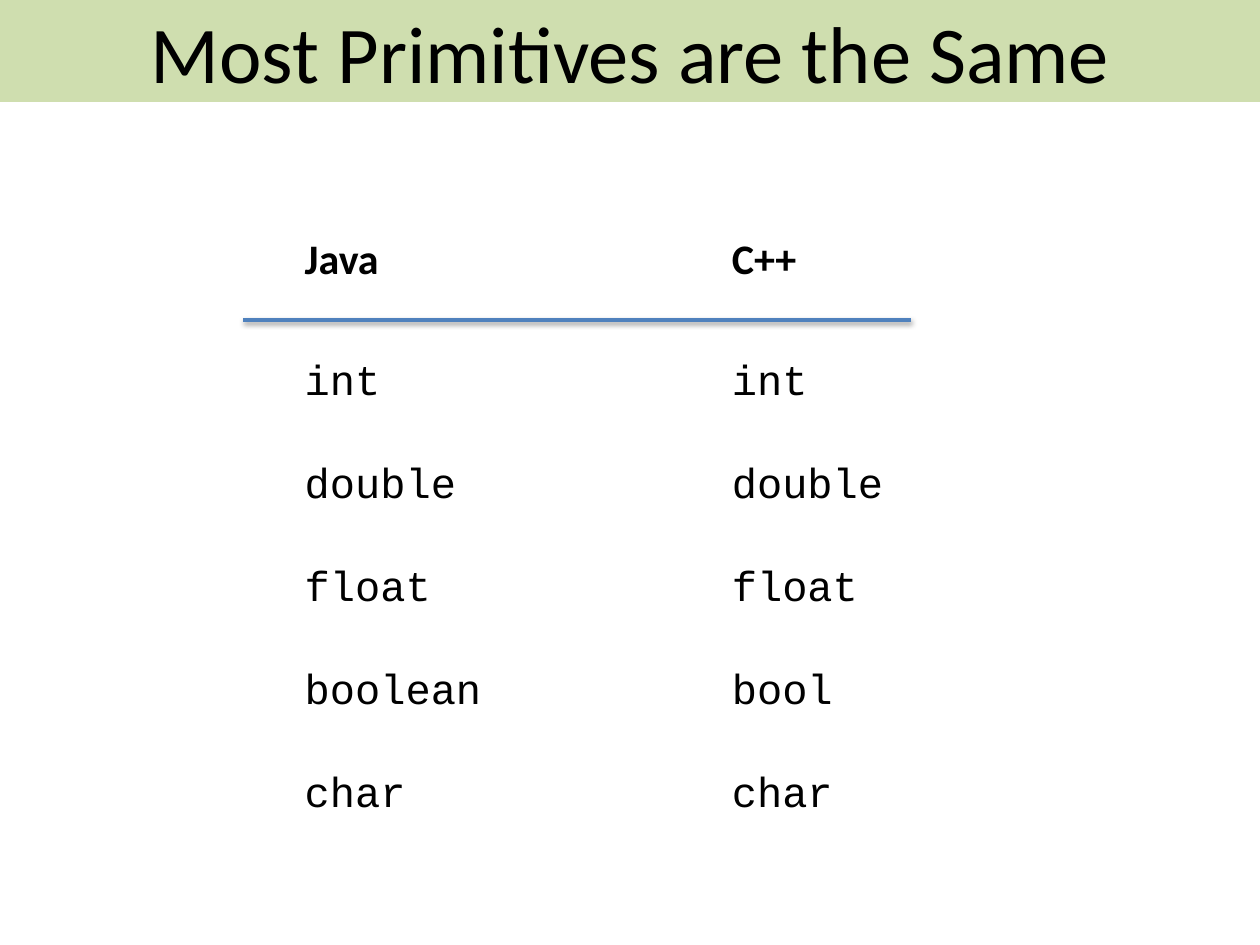
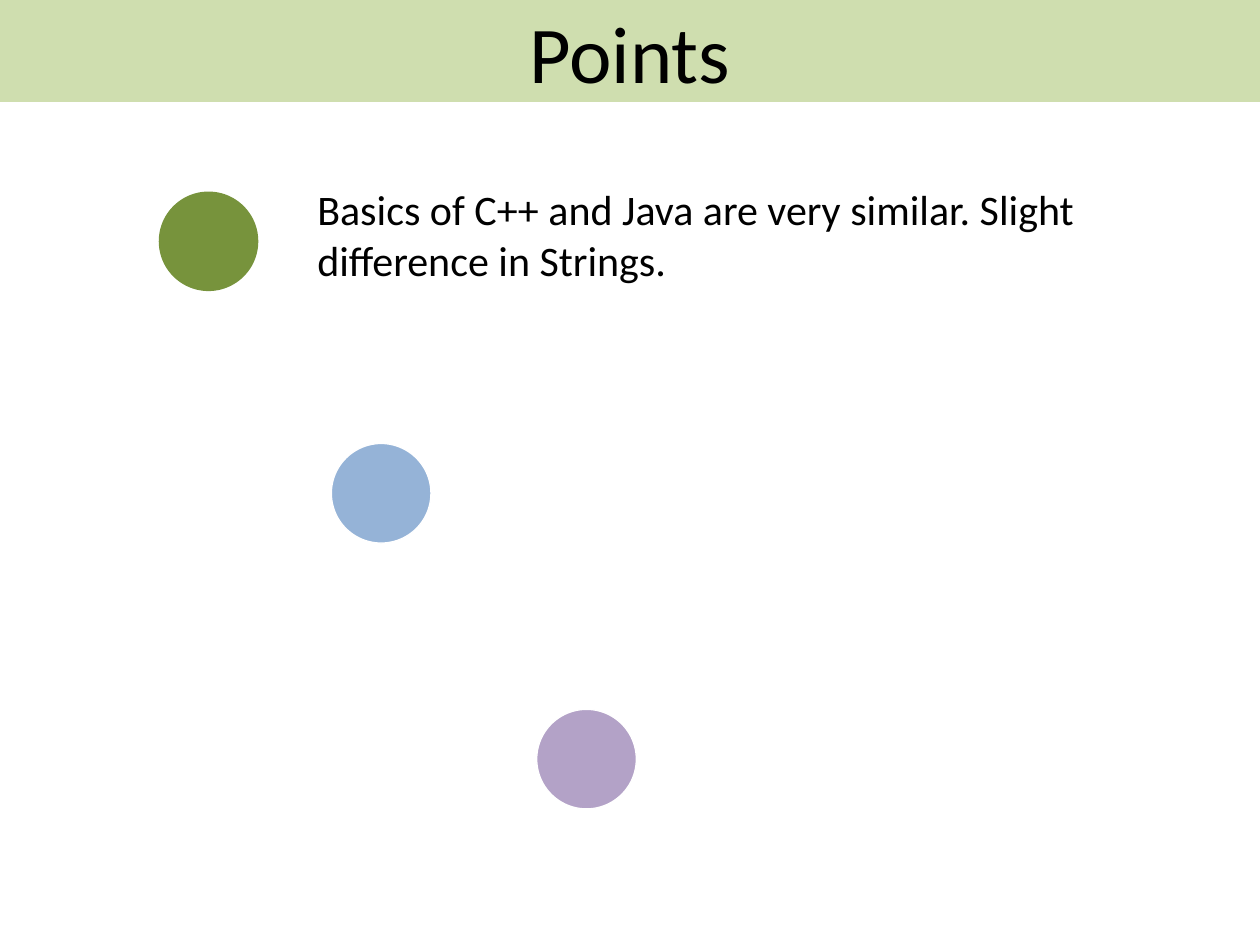
from lxml import etree
from pptx import Presentation
from pptx.dml.color import RGBColor
from pptx.enum import shapes, text
from pptx.oxml import ns
from pptx.util import Inches, Pt

BLACK, WHITE = "000000", "FFFFFF"
BAND, RULE = "C3D69B", "4F81BD"
GREEN, BLUE, PURPLE = "77933C", "95B3D7", "B3A2C7"
BODY, CODE = "Calibri", "Courier New"
BODY_SIZE, TITLE_SIZE = 24, 46
DOT_SIZE = 0.79

COLUMNS = [
    # left, heading, heading width, list width, types
    (2.32, "Java", 0.8, 1.62, ["int", "double", "float", "boolean", "char"]),
    (5.71, "C++", 0.72, 1.41, ["int", "double", "float", "bool", "char"]),
]


def rgb(hex_code):
    return RGBColor.from_string(hex_code)


def box(left, top, width, height):
    return [Inches(length) for length in (left, top, width, height)]


def child(parent, tag, **attributes):
    """Append a DrawingML element and return it."""
    element = etree.SubElement(parent, ns.qn(tag))
    for key, value in attributes.items():
        element.set(key, str(value))
    return element


def write(frame, lines, size=BODY_SIZE, font=BODY, bold=False, gap=0,
          align=text.PP_ALIGN.LEFT):
    """Fill a text frame with one paragraph per line, gap points apart."""
    font_format = {"name": font, "size": Pt(size), "bold": bold}
    for index, line in enumerate(lines):
        paragraph = frame.paragraphs[0] if index == 0 else frame.add_paragraph()
        paragraph.alignment = align
        if index and gap:
            paragraph.space_before = Pt(gap)
        run = paragraph.add_run()
        run.text = line
        for key, value in font_format.items():
            setattr(run.font, key, value)
        run.font.color.rgb = rgb(BLACK)


def add_text(slide, place, lines, wrap=False, **style):
    frame = slide.shapes.add_textbox(*box(*place)).text_frame
    frame.word_wrap = wrap
    frame.auto_size = text.MSO_AUTO_SIZE.SHAPE_TO_FIT_TEXT
    write(frame, lines, **style)


def add_filled(slide, preset, place, fill, outline=None):
    shape = slide.shapes.add_shape(preset, *box(*place))
    shape.shadow.inherit = False
    shape.fill.solid()
    shape.fill.fore_color.rgb = rgb(fill)
    if outline:
        shape.line.color.rgb = rgb(outline)
        shape.line.width = Pt(0.75)
    else:
        shape.line.fill.background()
    return shape


def add_titled_slide(deck, title):
    """Add a blank slide with the translucent title band."""
    slide = deck.slides.add_slide(deck.slide_layouts[6])
    band = add_filled(slide, shapes.MSO_SHAPE.RECTANGLE, (0, 0, 10, 0.81), BAND)
    band_color = band.fill._xPr.find(".//" + ns.qn("a:srgbClr"))
    child(band_color, "a:alpha", val=80000)
    band.text_frame.word_wrap = True
    band.text_frame.vertical_anchor = text.MSO_ANCHOR.MIDDLE
    write(band.text_frame, [title], size=TITLE_SIZE, align=text.PP_ALIGN.CENTER)
    return slide


def add_rule(slide, left, right, top):
    """Draw a horizontal line with a soft shadow beneath it."""
    rule = slide.shapes.add_connector(
        shapes.MSO_CONNECTOR.STRAIGHT,
        Inches(left), Inches(top), Inches(right), Inches(top))
    rule.line.color.rgb = rgb(RULE)
    rule.line.width = Pt(2)
    effects = child(rule._element.spPr, "a:effectLst")
    shadow = child(effects, "a:outerShdw", blurRad=Pt(3.1), dist=Pt(1.6),
                   dir=90 * 60000, rotWithShape=0)
    child(child(shadow, "a:srgbClr", val=BLACK), "a:alpha", val=38000)


def add_dot(slide, left, top, fill, outline=None):
    add_filled(slide, shapes.MSO_SHAPE.OVAL,
               (left, top, DOT_SIZE, DOT_SIZE), fill, outline)


def build_primitives(deck):
    slide = add_titled_slide(deck, "Most Primitives are the Same")
    for left, heading, heading_width, list_width, types in COLUMNS:
        add_text(slide, (left, 2.76, list_width, 3.74), types, font=CODE, gap=30)
        add_text(slide, (left, 1.8, heading_width, 0.5), [heading], bold=True)
    add_rule(slide, 1.93, 7.23, 2.54)


def build_points(deck):
    slide = add_titled_slide(deck, "Points")
    add_dot(slide, 2.63, 3.52, BLUE, WHITE)
    add_dot(slide, 4.26, 5.63, PURPLE, WHITE)
    add_dot(slide, 1.26, 1.52, GREEN)
    add_text(slide, (2.42, 1.41, 6.5, 0.91),
             ["Basics of C++ and Java are very similar. "
              "Slight difference in Strings."], wrap=True)


def main():
    deck = Presentation()
    deck.slide_width, deck.slide_height = Inches(10), Inches(7.5)
    build_primitives(deck)
    build_points(deck)
    deck.save("out.pptx")


if __name__ == "__main__":
    main()
